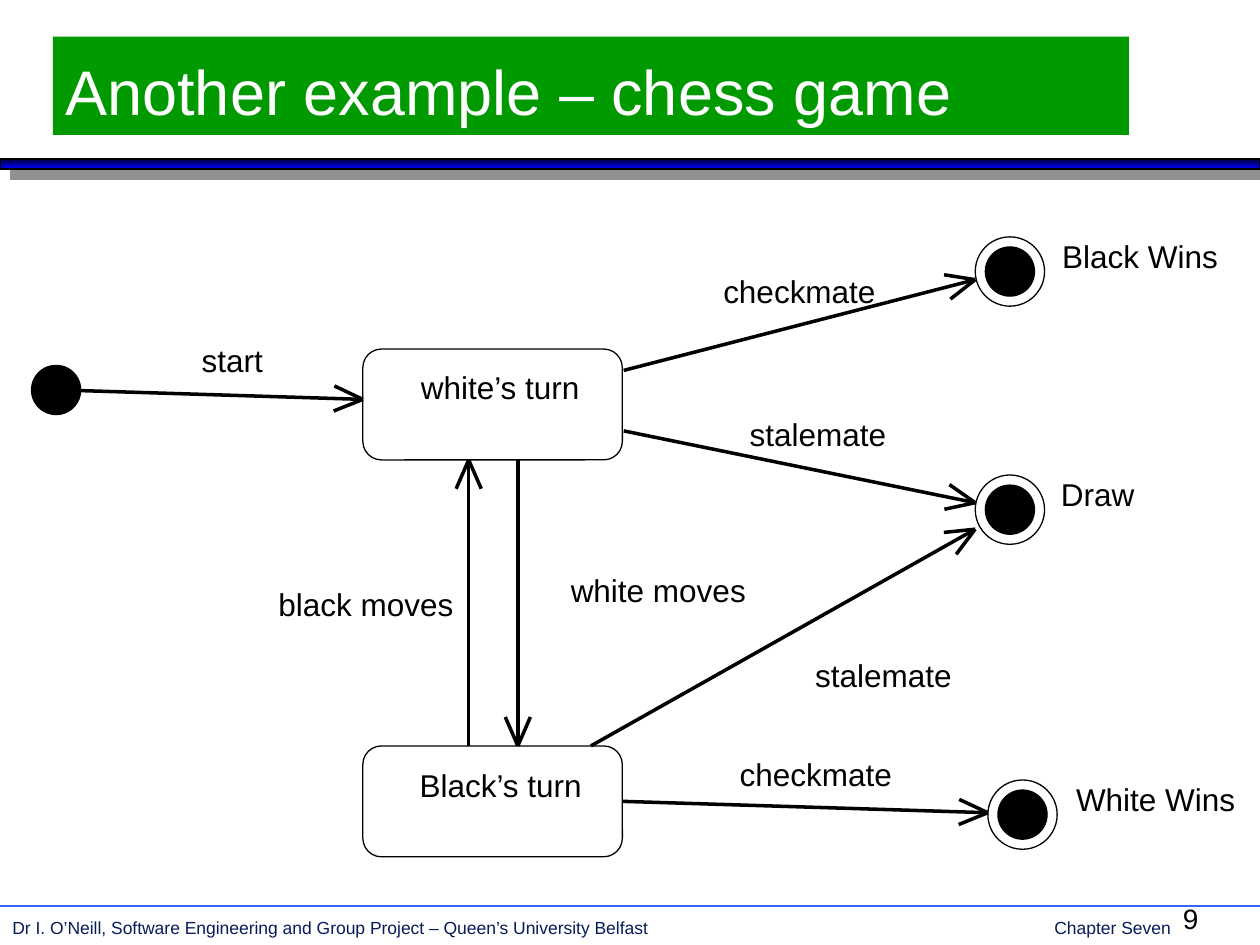
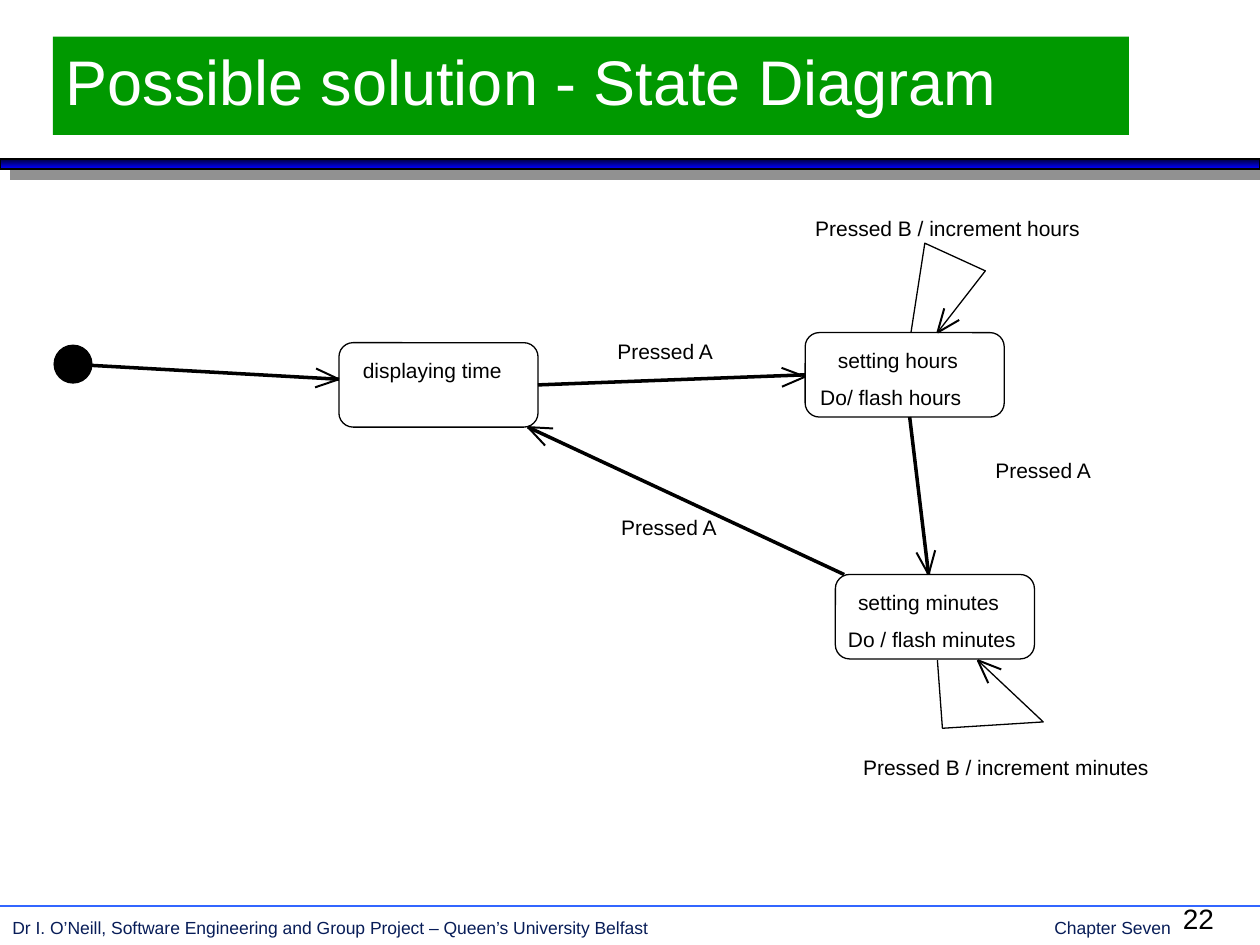
import math

import pptx
import pptx.dml.color
import pptx.enum.shapes
import pptx.enum.text
import pptx.oxml
import pptx.oxml.ns
import pptx.util
from lxml import etree

HUE = {"ink": "000000", "white": "FFFFFF", "title": "009900", "foot": "081D58",
       "rule": "3366FF", "dark": "000036", "blue": "0000FF", "shade": "919191"}
FONT = "Arial"
WIDE, HIGH = 10, 7.5
JOIN = 0.025  # an end this close to the middle of a side is joined to it
FOOT = ("Dr I. O’Neill, Software Engineering and Group Project – "
        "Queen’s University Belfast\tChapter Seven")

# Positions in inches; labels are (text, left, top, width), arrows (start, end).
CHESS = {
    "title": "Another example – chess game", "anchor": "BOTTOM", "page": "9",
    "size": 18, "box": (2.06, 0.88), "head": (0.25, 23.5, 0), "dot": 0.39,
    "start": (0.25, 2.9),
    "states": [(2.88, 2.77), (2.88, 5.92)],
    "finals": [(7.74, 1.88), (7.74, 3.77), (7.84, 6.19)],
    "labels": [
        ("white’s turn", 3.34, 2.92, 1.26), ("Black’s turn", 3.33, 6.08, 1.29),
        ("start", 1.6, 2.71, 0.49),
        ("white moves", 4.53, 4.53, 1.39), ("black moves", 2.21, 4.64, 1.39),
        ("Black Wins", 8.43, 1.88, 1.24), ("Draw", 8.42, 3.77, 0.58),
        ("White Wins", 8.54, 6.19, 1.26),
        ("checkmate", 5.74, 2.16, 1.21), ("checkmate", 5.87, 5.99, 1.21),
        ("stalemate", 5.95, 3.29, 1.08), ("stalemate", 6.47, 5.21, 1.08)],
    "arrows": [
        ((0.64, 3.1), (2.88, 3.17)), ((4.11, 3.65), (4.11, 5.92)),
        ((3.72, 5.92), (3.72, 3.65)), ((4.95, 2.94), (7.74, 2.22)),
        ((4.94, 6.38), (7.84, 6.45)), ((4.69, 5.92), (7.74, 4.2)),
        ((4.95, 3.42), (7.74, 3.99))],
    "loops": [],
}
CLOCK = {
    "title": "Possible solution - State Diagram", "anchor": "TOP", "page": "22",
    "size": 12, "box": (1.58, 0.67), "head": (0.2, 22, 1.13), "dot": 0.3,
    "start": (0.43, 2.74),
    "states": [(2.69, 2.72), (6.39, 2.64), (6.63, 4.56)],
    "finals": [],
    "labels": [
        ("displaying time", 2.88, 2.84, 1.1),
        ("setting hours", 6.65, 2.76, 0.96), ("Do/ flash hours", 6.51, 3.05, 1.12),
        ("setting minutes", 6.81, 4.68, 1.12),
        ("Do / flash minutes", 6.73, 4.97, 1.33),
        ("Pressed A", 4.9, 2.69, 0.77), ("Pressed A", 7.9, 3.63, 0.77),
        ("Pressed A", 4.93, 4.08, 0.77),
        ("Pressed B / increment hours", 6.47, 1.71, 2.1),
        ("Pressed B / increment minutes", 6.85, 5.99, 2.27)],
    "arrows": [
        ((0.73, 2.9), (2.69, 3.01)), ((4.27, 3.04), (6.39, 2.99)),
        ((7.22, 3.31), (7.37, 4.56)), ((6.7, 4.56), (4.19, 3.39))],
    "loops": [
        [(7.23, 2.64), (7.34, 1.93), (7.82, 2.15), (7.44, 2.64)],
        [(7.44, 5.24), (7.48, 5.78), (8.28, 5.73), (7.76, 5.24)]],
}

KIND = pptx.enum.shapes.MSO_SHAPE
ANCHOR = pptx.enum.text.MSO_ANCHOR


def inch(*vals):
    return [pptx.util.Inches(v) for v in vals]


def rgb(name):
    return pptx.dml.color.RGBColor.from_string(HUE[name])


def ink(shape, hue="ink", width=0):
    shape.line.color.rgb = rgb(hue)
    shape.line.width = pptx.util.Pt(width)


def style(frame, size, hue):
    frame.auto_size = pptx.enum.text.MSO_AUTO_SIZE.NONE
    for para in frame.paragraphs:
        para.alignment = pptx.enum.text.PP_ALIGN.LEFT
        for run in para.runs:
            run.font.name, run.font.size = FONT, pptx.util.Pt(size)
            run.font.color.rgb = rgb(hue)


def label(slide, text, at, size, hue="ink", inset=(0, 0), wrap=False):
    box = slide.shapes.add_textbox(*inch(*at))
    frame = box.text_frame
    frame.margin_left = frame.margin_right = pptx.util.Inches(inset[0])
    frame.margin_top = frame.margin_bottom = pptx.util.Inches(inset[1])
    frame.word_wrap = wrap
    frame.text = text
    style(frame, size, hue)
    return box


def shape(slide, kind, at, fill=None):
    item = slide.shapes.add_shape(kind, *inch(*at))
    item.shadow.inherit = False
    if fill:
        item.fill.solid()
        item.fill.fore_color.rgb = rgb(fill)
    else:
        item.fill.background()
    ink(item)
    return item


def line(slide, start, end, hue="ink", width=0):
    item = slide.shapes.add_connector(
        pptx.enum.shapes.MSO_CONNECTOR.STRAIGHT, *inch(*start, *end))
    ink(item, hue, width)
    etree.SubElement(item.element.spPr, pptx.oxml.ns.qn("a:effectLst"))
    return item


def head(slide, start, tip, size, angle, width):
    """Open arrowhead: two strokes back from the tip."""
    back = math.atan2(start[1] - tip[1], start[0] - tip[0])
    for turn in (-angle, angle):
        way = back + math.radians(turn)
        line(slide, tip, (tip[0] + size * math.cos(way),
                          tip[1] + size * math.sin(way)), width=width)


def side(point, states, size):
    """Find the state and side whose middle lies at the point."""
    w, h = size
    for num, (x, y) in enumerate(states):
        mids = [(x + w / 2, y), (x, y + h / 2), (x + w / 2, y + h), (x + w, y + h / 2)]
        for site, mid in enumerate(mids):
            if math.dist(point, mid) < JOIN:
                return num, site
    return None


def furnish(slide, layout):
    """Build the band, rule and footer, and move them to the layout."""
    band = shape(slide, KIND.RECTANGLE, (0, 1.26, WIDE, 0.08))
    band.fill.gradient()
    band.fill.gradient_angle = 270
    for stop, hue, pos in zip(band.fill.gradient_stops, ("dark", "blue"), (0, 1)):
        stop.color.rgb, stop.position = rgb(hue), pos
    ink(band, width=1)
    band.element.spPr.find(pptx.oxml.ns.qn("a:effectLst")).append(pptx.oxml.parse_xml(
        f'<a:outerShdw {pptx.oxml.ns.nsdecls("a")} dist="107950" dir="2700000" '
        f'algn="ctr" rotWithShape="0"><a:srgbClr val="{HUE["shade"]}"/></a:outerShdw>'))
    rule = line(slide, (0, 7.19), (WIDE, 7.19), "rule", 1)
    foot = label(slide, FOOT, (0, 7.23, 9.61, 0.26), 10, "foot", (0.1, 0.05), True)
    props = foot.text_frame.paragraphs[0]._p.get_or_add_pPr()
    tabs = etree.SubElement(props, pptx.oxml.ns.qn("a:tabLst"))
    etree.SubElement(tabs, pptx.oxml.ns.qn("a:tab"),
                     pos=str(pptx.util.Inches(8.27)), algn="l")
    for item in (band, rule, foot):
        layout.element.cSld.spTree.append(item.element)


def head_line(slide, data):
    title = slide.shapes.title
    title.left, title.top, title.width, title.height = inch(0.42, 0.29, 8.54, 0.78)
    title.fill.solid()
    title.fill.fore_color.rgb = rgb("title")
    title.text_frame.text = data["title"]
    title.text_frame.vertical_anchor = ANCHOR[data["anchor"]]
    style(title.text_frame, 36, "white")
    label(slide, data["page"], (9.29, 7.11, 0.5, 0.37), 16, inset=(0.1, 0.05), wrap=True)


def draw(slide, data):
    head_line(slide, data)
    size, dot = data["box"], data["dot"]
    boxes = []
    for spot in data["states"]:
        box = shape(slide, KIND.ROUNDED_RECTANGLE, (*spot, *size))
        box.adjustments[0] = 0.168
        boxes.append(box)
    shape(slide, KIND.OVAL, (*data["start"], dot, dot), "ink")
    for x, y in data["finals"]:
        shape(slide, KIND.OVAL, (x, y, 0.55, 0.55))
        shape(slide, KIND.OVAL, (x + 0.08, y + 0.08, dot, dot), "ink")
    for start, end in data["arrows"]:
        stem = line(slide, start, end)
        for point, join in ((start, stem.begin_connect), (end, stem.end_connect)):
            hit = side(point, data["states"], size)
            if hit:
                join(boxes[hit[0]], hit[1])
        head(slide, start, end, *data["head"])
    for loop in data["loops"]:
        first, *rest = [inch(*point) for point in loop]
        pen = slide.shapes.build_freeform(*first)
        pen.add_line_segments(rest, close=False)
        item = pen.convert_to_shape()
        item.shadow.inherit = False
        item.fill.background()
        ink(item)
        head(slide, loop[-2], loop[-1], *data["head"])
    for text, x, y, w in data["labels"]:
        label(slide, text, (x, y, w, data["size"] / 60), data["size"])


def main():
    prs = pptx.Presentation()
    prs.slide_width, prs.slide_height = inch(WIDE, HIGH)
    layout = prs.slide_layouts[5]
    slides = [prs.slides.add_slide(layout) for _ in range(2)]
    furnish(slides[0], layout)
    for slide, data in zip(slides, (CHESS, CLOCK)):
        draw(slide, data)
    prs.save("out.pptx")


if __name__ == "__main__":
    main()
